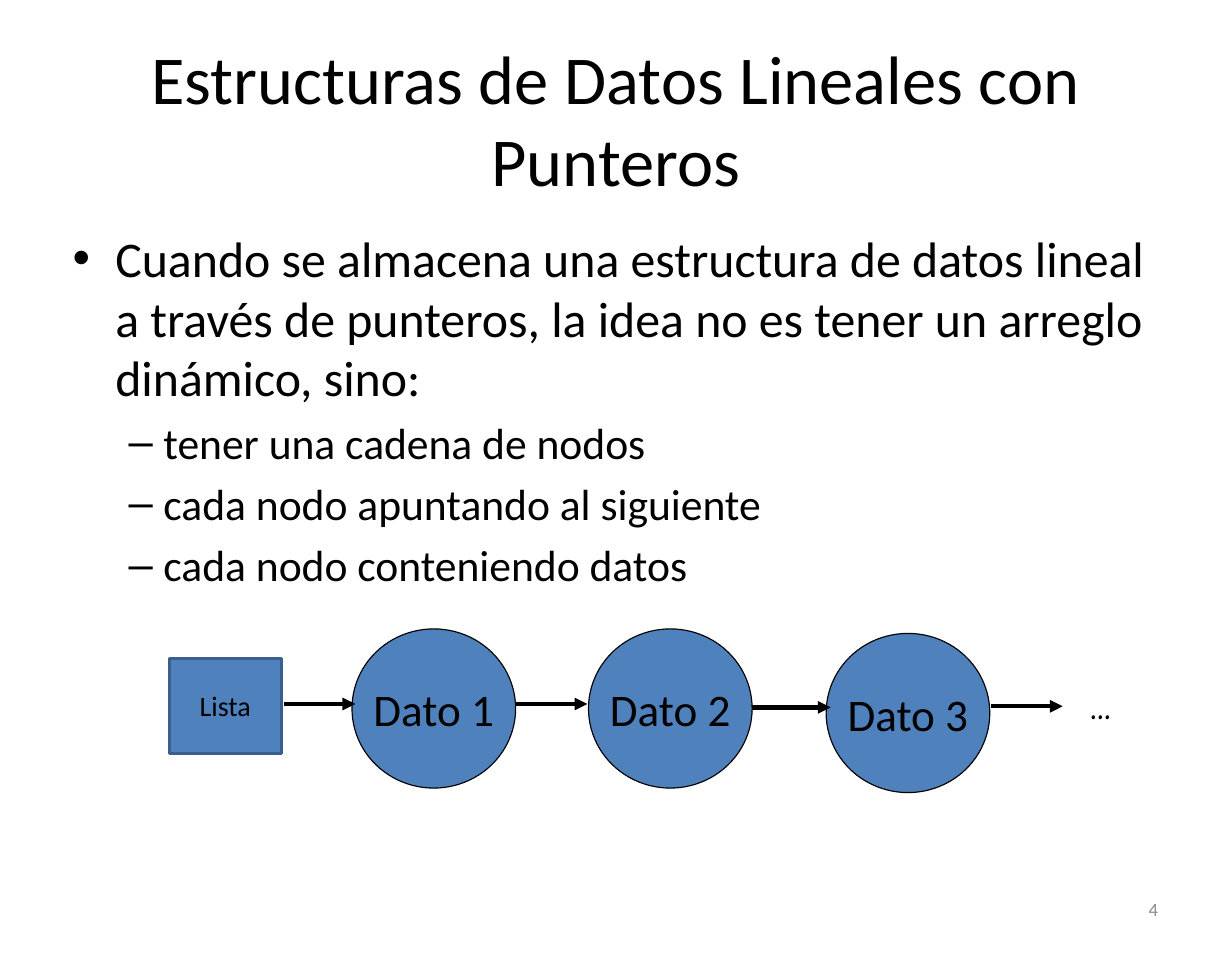
from lxml import etree
from pptx import Presentation
from pptx.dml.color import RGBColor
from pptx.enum.shapes import MSO_CONNECTOR, MSO_SHAPE
from pptx.enum.text import MSO_ANCHOR, PP_ALIGN
from pptx.oxml.ns import qn
from pptx.util import Inches, Pt

STRAIGHT = MSO_CONNECTOR.STRAIGHT
OVAL, RECTANGLE = MSO_SHAPE.OVAL, MSO_SHAPE.RECTANGLE
TOP, MIDDLE = MSO_ANCHOR.TOP, MSO_ANCHOR.MIDDLE
LEFT, CENTER, RIGHT = PP_ALIGN.LEFT, PP_ALIGN.CENTER, PP_ALIGN.RIGHT

BLACK, GREY, BLUE, NAVY = "000000", "8C8C8C", "4F81BD", "3A5F8C"
TITLE = "Estructuras de Datos Lineales con Punteros"
IDEAS = [
    (0, "Cuando se almacena una estructura de datos lineal a través de punteros, "
        "la idea no es tener un arreglo dinámico, sino:"),
    (1, "tener una cadena de nodos"),
    (1, "cada nodo apuntando al siguiente"),
    (1, "cada nodo conteniendo datos"),
]
LEVELS = [
    {"bullet": "•", "size": 32, "margin": 0.38, "hanging": 0.38},
    {"bullet": "–", "size": 28, "margin": 0.81, "hanging": 0.31},
]
NODES = [("Dato 1", 3.14, 5.61), ("Dato 2", 5.25, 5.61), ("Dato 3", 7.37, 5.65)]
NODE_SIZE = (1.46, 1.42)
POINTERS = [(2.53, 3.17, 6.28), (4.6, 5.24, 6.28), (6.71, 7.41, 6.31), (8.84, 9.48, 6.3)]


def color(value):
    """Turn a hex string into a colour."""
    return RGBColor.from_string(value)


def write(paragraph, text, size, align=CENTER, font="Calibri", ink=BLACK):
    """Put one formatted run in a paragraph."""
    paragraph.alignment = align
    run = paragraph.add_run()
    run.text = text
    for name, value in {"size": Pt(size), "name": font}.items():
        setattr(run.font, name, value)
    run.font.color.rgb = color(ink)


def set_frame(shape, anchor=MIDDLE, wrap=True):
    """Set anchoring and wrapping, and return the first paragraph."""
    frame = shape.text_frame
    for name, value in {"vertical_anchor": anchor, "word_wrap": wrap}.items():
        setattr(frame, name, value)
    return frame.paragraphs[0]


def add_box(kind, box, text, size, outline, width, wrap=True):
    """Add a filled shape with a centred label."""
    shape = slide.shapes.add_shape(kind, *map(Inches, box))
    shape.shadow.inherit = False
    shape.fill.solid()
    shape.fill.fore_color.rgb = color(BLUE)
    shape.line.color.rgb = color(outline)
    shape.line.width = Pt(width)
    write(set_frame(shape, wrap=wrap), text, size)


def add_text(box, anchor=TOP, wrap=True):
    """Add a text box and return its first paragraph with its frame."""
    area = slide.shapes.add_textbox(*map(Inches, box))
    return set_frame(area, anchor, wrap), area.text_frame


def add_pointer(start, end, y):
    """Add a horizontal arrow between two nodes."""
    pointer = slide.shapes.add_connector(
        STRAIGHT, Inches(start), Inches(y), Inches(end), Inches(y))
    pointer.line.color.rgb = color(BLACK)
    pointer.line.width = Pt(2.75)
    etree.SubElement(pointer.line._get_or_add_ln(), qn("a:tailEnd"), type="triangle")
    etree.SubElement(pointer._element.spPr, qn("a:effectLst"))


def add_idea(paragraph, level, text):
    """Write one bulleted idea at its level."""
    style = LEVELS[level]
    paragraph.level = level
    paragraph.space_before = Pt(style["size"] * 0.2)
    write(paragraph, text, style["size"], LEFT)
    properties = paragraph._p.get_or_add_pPr()
    properties.set("marL", str(Inches(style["margin"])))
    properties.set("indent", str(-Inches(style["hanging"])))
    etree.SubElement(properties, qn("a:buFont"), typeface="Arial")
    etree.SubElement(properties, qn("a:buChar"), char=style["bullet"])


deck = Presentation()
deck.slide_width, deck.slide_height = Inches(10.99), Inches(8.51)
slide = deck.slides.add_slide(deck.slide_layouts[5])

title = slide.shapes.title
for side, length in {"left": 0.55, "top": 0.34, "width": 9.89, "height": 1.42}.items():
    setattr(title, side, Inches(length))
write(set_frame(title), TITLE, 44)

first, ideas = add_text((0.55, 1.98, 9.89, 5.61))
for index, (level, text) in enumerate(IDEAS):
    add_idea(ideas.add_paragraph() if index else first, level, text)

for label, left, top in NODES:
    add_box(OVAL, (left, top, *NODE_SIZE), label, 29, BLACK, 0.75, wrap=False)
for start, end, y in POINTERS:
    add_pointer(start, end, y)
add_box(RECTANGLE, (1.51, 5.87, 1, 0.85), "Lista", 18, NAVY, 2)

ellipsis, _ = add_text((9.49, 5.97, 0.52, 0.61), wrap=False)
write(ellipsis, "...", 29, RIGHT, "Comic Neue")
page_number, _ = add_text((7.87, 7.88, 2.56, 0.45), MIDDLE)
write(page_number, "4", 12, RIGHT, ink=GREY)

deck.save("out.pptx")
